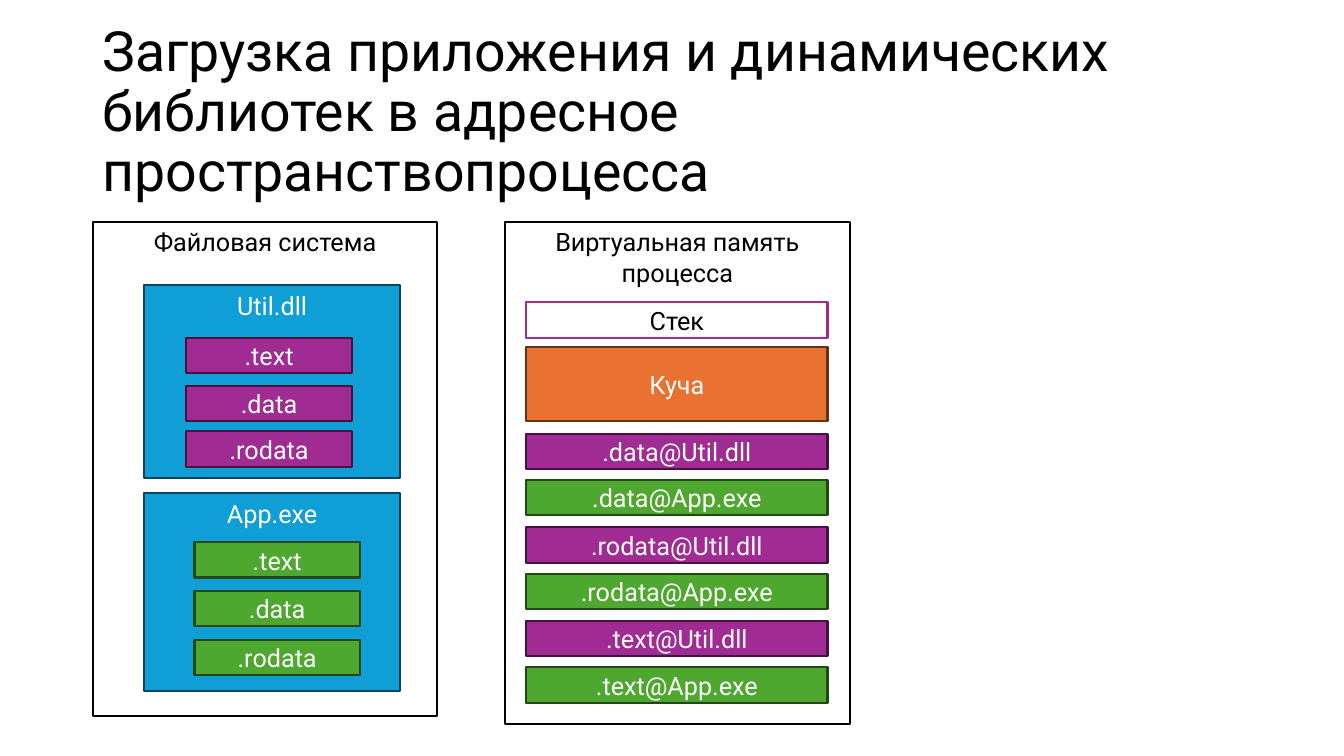
"""Builds a slide on loading an application and its libraries into memory."""
from pptx import Presentation
from pptx.dml.color import RGBColor
from pptx.enum.shapes import MSO_SHAPE
from pptx.enum.text import MSO_ANCHOR, MSO_AUTO_SIZE, PP_ALIGN
from pptx.util import Pt

RECTANGLE = MSO_SHAPE.RECTANGLE
TOP, MIDDLE = MSO_ANCHOR.TOP, MSO_ANCHOR.MIDDLE
LEFT, CENTER = PP_ALIGN.LEFT, PP_ALIGN.CENTER
NO_AUTOFIT = MSO_AUTO_SIZE.NONE

BLACK = RGBColor(0x00, 0x00, 0x00)
WHITE = RGBColor(0xFF, 0xFF, 0xFF)
BLUE, DARK_BLUE = RGBColor(0x0F, 0x9E, 0xD5), RGBColor(0x07, 0x45, 0x5D)
GREEN, DARK_GREEN = RGBColor(0x4E, 0xA7, 0x2E), RGBColor(0x22, 0x49, 0x14)
PURPLE, DARK_PURPLE = RGBColor(0xA0, 0x2B, 0x93), RGBColor(0x46, 0x13, 0x40)
ORANGE, DARK_ORANGE = RGBColor(0xE9, 0x71, 0x32), RGBColor(0x66, 0x32, 0x16)

FRAME_TOP, FRAME_WIDTH = 158.4, 246.24
FILE_LEFT, FILE_WIDTH = 102.96, 182.88
SECTION_WIDTH, ROW_HEIGHT = 118.08, 25.2
MEMORY_LEFT, MEMORY_WIDTH = 375.84, 215.28
MEMORY_TOP, PAIR_STEP, APP_OFFSET = 309.7, 67, 33


def write(frame, text, size=18, color=WHITE, align=CENTER, anchor=MIDDLE, spacing=None):
    """Put formatted text into a text frame."""
    frame.word_wrap = True
    frame.auto_size = NO_AUTOFIT
    frame.vertical_anchor = anchor
    para = frame.paragraphs[0]
    para.alignment = align
    para.line_spacing = spacing
    span = para.add_run()
    span.text = text
    span.font.name = "Roboto"
    span.font.size = Pt(size)
    span.font.color.rgb = color


class MemorySlide:
    """Holds the current page and its drawing style."""

    def __init__(self, page, line_width=1.5):
        """Keep the page and the outline width."""
        self.page = page
        self.line_width = Pt(line_width)

    def title(self, text, left, top, width, height):
        """Place and fill the title placeholder."""
        box = self.page.shapes.title
        box.left, box.top, box.width, box.height = map(Pt, (left, top, width, height))
        write(box.text_frame, text, size=39.6, color=BLACK, align=LEFT, spacing=0.9)

    def block(self, text, left, top, width, height, fill, line, **text_format):
        """Draw a labelled rectangle."""
        box = self.page.shapes.add_shape(RECTANGLE, *map(Pt, (left, top, width, height)))
        box.shadow.inherit = False
        box.fill.solid()
        box.fill.fore_color.rgb = fill
        box.line.color.rgb = line
        box.line.width = self.line_width
        write(box.text_frame, text, **text_format)

    def frame(self, text, left, height):
        """Draw a white outer frame headed by its name."""
        self.block(text, left, FRAME_TOP, FRAME_WIDTH, height, WHITE, BLACK,
                   color=BLACK, anchor=TOP)

    def file(self, name, top, height, section_left, section_tops, fill, line):
        """Draw a binary file with its sections."""
        self.block(name, FILE_LEFT, top, FILE_WIDTH, height, BLUE, DARK_BLUE, anchor=TOP)
        for section, section_top in zip((".text", ".data", ".rodata"), section_tops):
            self.block(section, section_left, section_top, SECTION_WIDTH, ROW_HEIGHT,
                       fill, line)

    def region(self, text, top, fill, line, height=ROW_HEIGHT, **text_format):
        """Draw a region of the process memory."""
        self.block(text, MEMORY_LEFT, top, MEMORY_WIDTH, height, fill, line, **text_format)


def main():
    """Build and save the deck."""
    deck = Presentation()
    deck.slide_width, deck.slide_height = Pt(960), Pt(540)
    slide = MemorySlide(deck.slides.add_slide(deck.slide_layouts[5]))
    slide.title("Загрузка приложения и динамических библиотек в адресное "
                "пространствопроцесса", 66, 28.8, 828, 104.4)

    slide.frame("Файловая система", 66.24, 352.8)
    slide.file("Util.dll", 203.76, 137.52, 133.2, (241.2, 275.76, 308.16),
               PURPLE, DARK_PURPLE)
    slide.file("App.exe", 352.08, 141.84, 138.96, (387.36, 421.92, 457.2),
               GREEN, DARK_GREEN)

    slide.frame("Виртуальная память процесса", 360.72, 358.56)
    slide.region("Стек", 216, WHITE, PURPLE, color=BLACK)
    slide.region("Куча", 247.68, ORANGE, DARK_ORANGE, height=53.28)
    for index, section in enumerate((".data", ".rodata", ".text")):
        top = MEMORY_TOP + index * PAIR_STEP
        slide.region(f"{section}@Util.dll", top, PURPLE, DARK_PURPLE)
        slide.region(f"{section}@App.exe", top + APP_OFFSET, GREEN, DARK_GREEN)

    deck.save("out.pptx")


if __name__ == "__main__":
    main()
